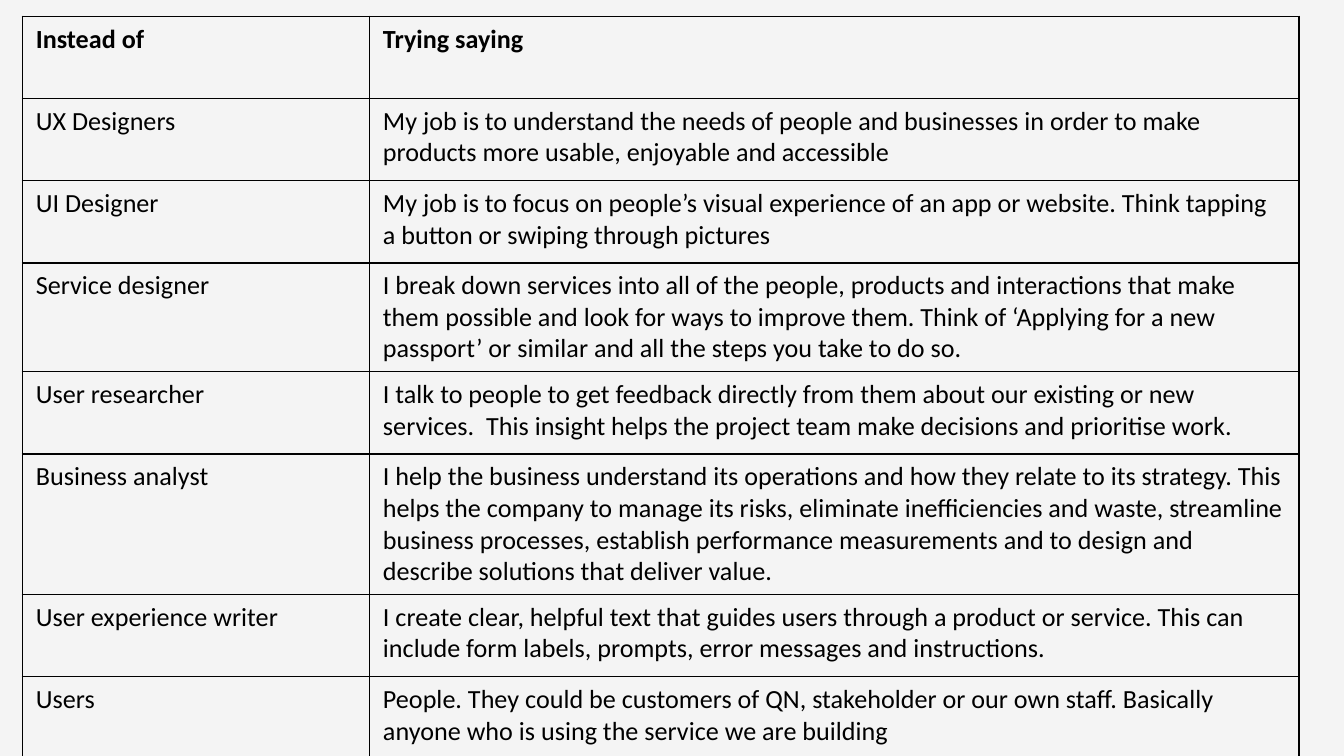
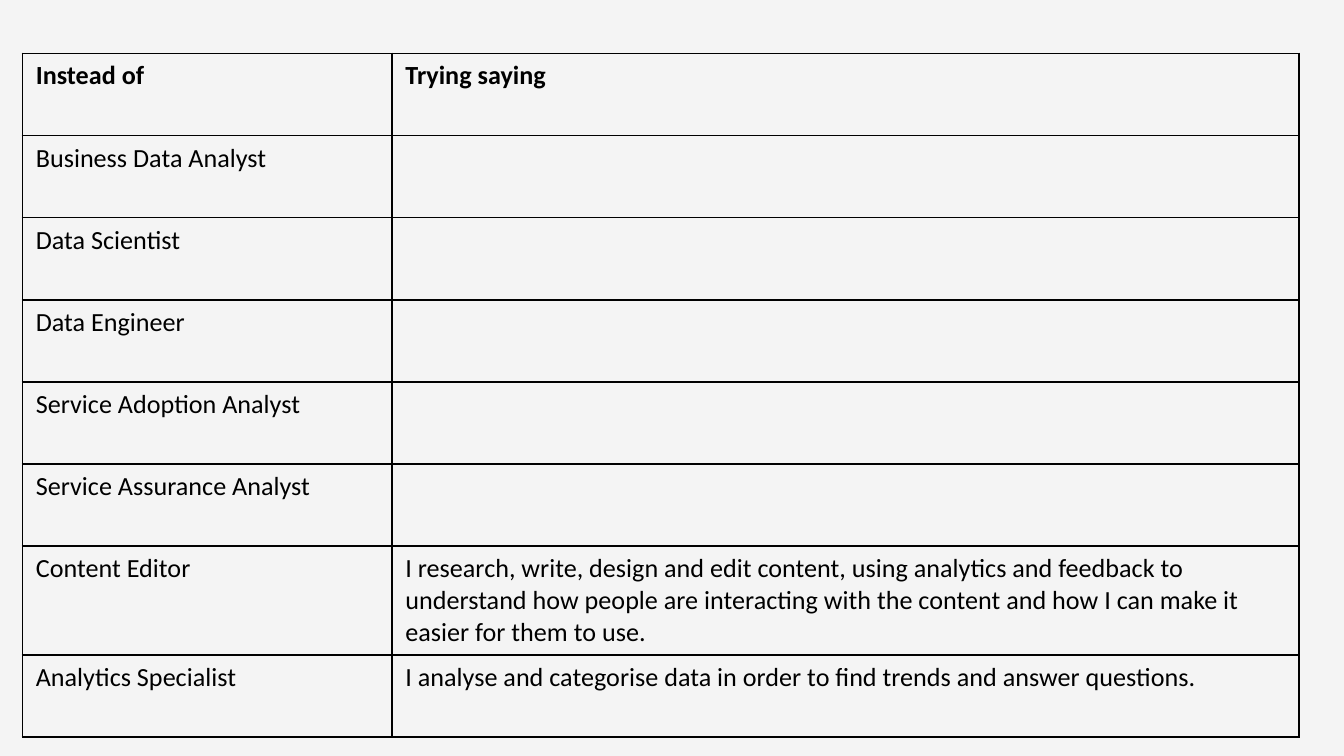
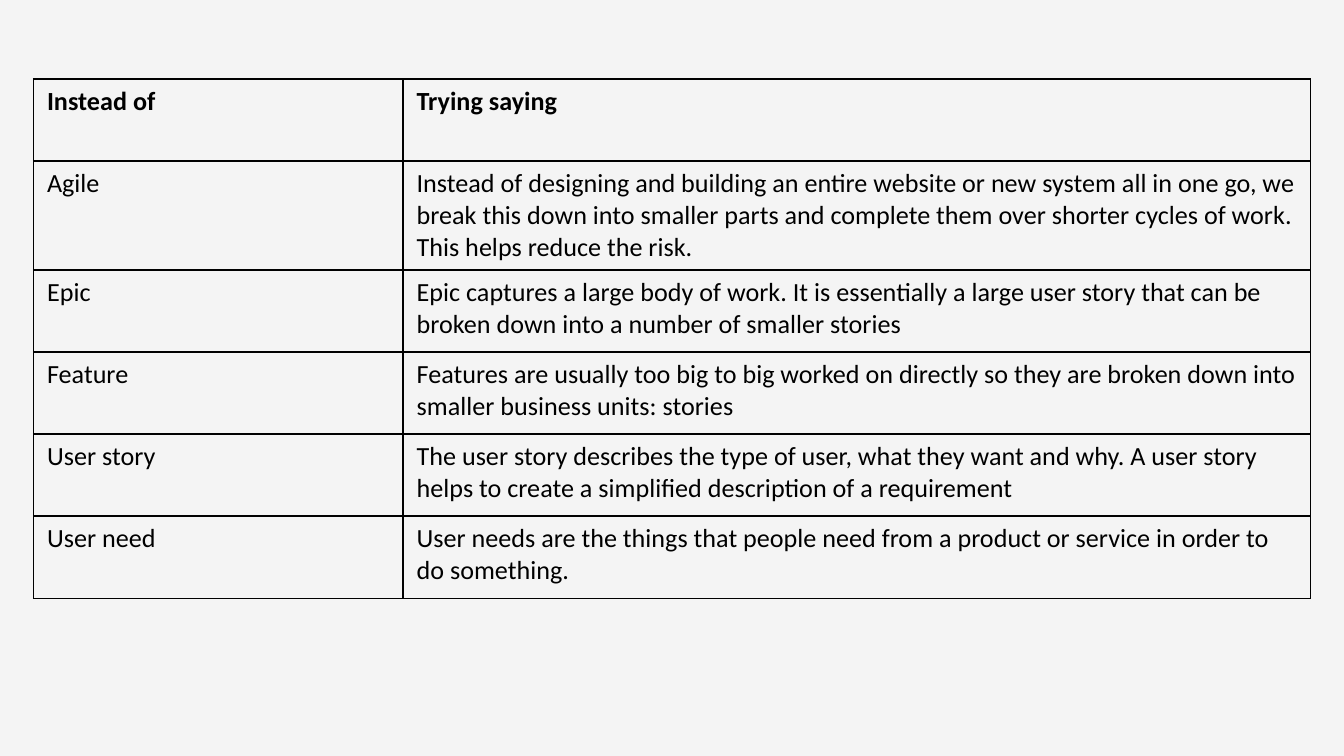
"""Build three slides of tables that put digital job titles and jargon into plain words."""
from lxml import etree
from pptx import Presentation
from pptx.dml.color import RGBColor
from pptx.oxml.ns import qn
from pptx.util import Inches, Pt

PAPER, INK = "F4F4F4", "000000"
FONT, FONT_SIZE, BORDER = "Calibri", Pt(14), Pt(1)
HEADINGS = ("Instead of", "Trying saying")


def colour(hex_code):
    return RGBColor.from_string(hex_code)


def outline(cell):
    properties = cell._tc.get_or_add_tcPr()
    for side in ("lnL", "lnR", "lnT", "lnB"):
        line = etree.SubElement(properties, qn(f"a:{side}"), w=str(BORDER))
        line_fill = etree.SubElement(line, qn("a:solidFill"))
        etree.SubElement(line_fill, qn("a:srgbClr"), val=INK)


people_roles = [
    ("UX Designers",
     "My job is to understand the needs of people and businesses in order to make "
     "products more usable, enjoyable and accessible"),
    ("UI Designer",
     "My job is to focus on people’s visual experience of an app or website. Think "
     "tapping a button or swiping through pictures"),
    ("Service designer",
     "I break down services into all of the people, products and interactions that make "
     "them possible and look for ways to improve them. Think of ‘Applying for a new "
     "passport’ or similar and all the steps you take to do so."),
    ("User researcher",
     "I talk to people to get feedback directly from them about our existing or new "
     "services. \u00a0This insight helps the project team make decisions and prioritise work."),
    ("Business analyst",
     "I help\u00a0the business understand its operations and how they relate to its strategy. "
     "This helps the company to manage its risks, eliminate inefficiencies and waste, "
     "streamline business processes, establish performance measurements and to design and "
     "describe solutions that deliver value."),
    ("User experience writer",
     "I create clear, helpful text that guides users through a product or service.\u00a0This "
     "can include form labels, prompts, error messages and instructions."),
    ("Users",
     "People. They could be customers of QN, stakeholder or our own staff. Basically "
     "anyone who is using the service we are building"),
]
data_roles = [
    ("Business Data Analyst", ""),
    ("Data Scientist", ""),
    ("Data Engineer", ""),
    ("Service Adoption Analyst", ""),
    ("Service Assurance Analyst", ""),
    ("Content Editor",
     "I research, write, design and edit content, using analytics and feedback to "
     "understand how people are interacting with the content and how I can make it easier "
     "for them to use."),
    ("Analytics Specialist",
     "I analyse and categorise data in order to find trends and answer questions."),
]
agile_terms = [
    ("Agile",
     "Instead of designing and building an entire website or new system all in one go, we "
     "break this down into smaller parts and complete them over shorter cycles of work. "
     "This helps reduce the risk."),
    ("Epic",
     "Epic captures a large body of work. It is essentially a large user story that can be "
     "broken down into a number of smaller stories"),
    ("Feature",
     "Features are usually too big to big worked on directly so they are broken down into "
     "smaller business units: stories"),
    ("User story",
     "The user story describes the type of user, what they want and why. A user story helps "
     "to create a simplified description of a requirement"),
    ("User need",
     "User needs are the things that people need from a product or service in order to do "
     "something."),
]

deck = Presentation()
deck.slide_width, deck.slide_height = Inches(10), Inches(5.625)
COLUMN, ROW = deck.slide_width / 120, deck.slide_height / 46
GLOSSARY_COLUMNS, ENTRY_ROWS = 114, 5

paper = deck.slide_master.background.fill
paper.solid()
paper.fore_color.rgb = colour(PAPER)
blank_layout = deck.slide_layouts[6]

for left, top, term_columns, entries in (
    (2, 1, 31, people_roles),
    (2, 3.25, 33, data_roles),
    (3, 4.8, 33, agile_terms),
):
    slide = deck.slides.add_slide(blank_layout)
    lines = [HEADINGS, *entries]
    glossary = slide.shapes.add_table(
        len(lines), len(HEADINGS), int(left * COLUMN), int(top * ROW),
        int(GLOSSARY_COLUMNS * COLUMN), int(len(lines) * ENTRY_ROWS * ROW)).table
    glossary.first_row = glossary.horz_banding = False
    glossary.columns[0].width = int(term_columns * COLUMN)
    glossary.columns[1].width = int((GLOSSARY_COLUMNS - term_columns) * COLUMN)
    for line_number, line in enumerate(lines):
        for column_number, wording in enumerate(line):
            cell = glossary.cell(line_number, column_number)
            outline(cell)
            cell.fill.background()
            cell.text = wording
            font = cell.text_frame.paragraphs[0].font
            font.name, font.size, font.bold = FONT, FONT_SIZE, line_number == 0
            font.color.rgb = colour(INK)

deck.save("out.pptx")
